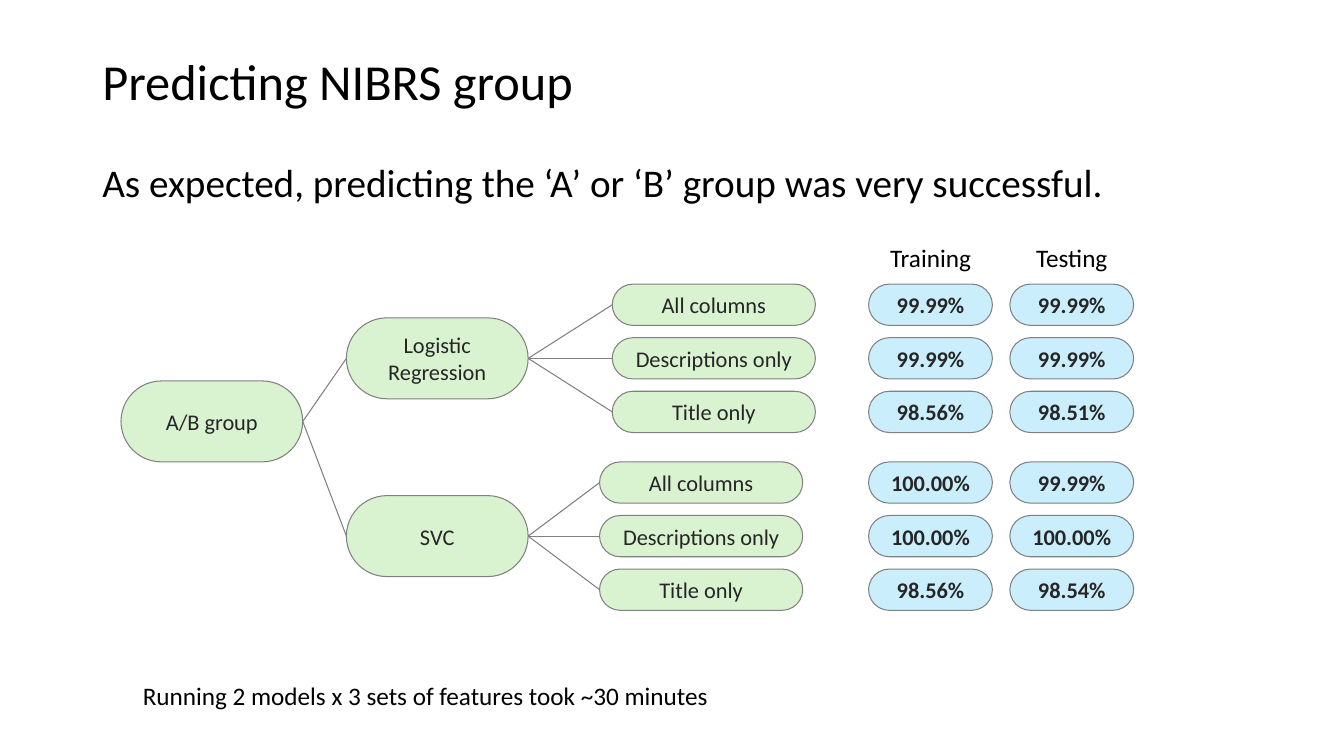
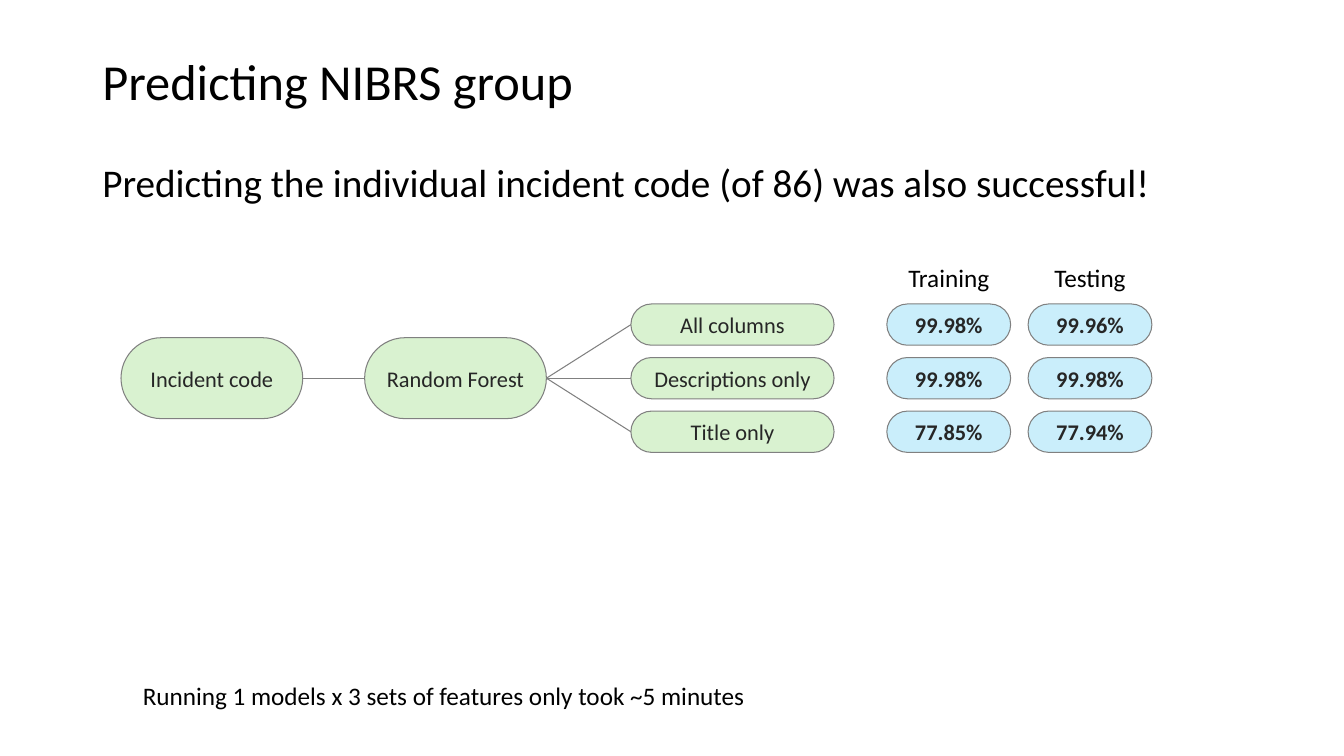
"""Build two slides of model trees with training and testing accuracy."""
from dataclasses import dataclass

import lxml.etree
import pptx
import pptx.dml.color
import pptx.enum.shapes
import pptx.enum.text
import pptx.oxml.ns
import pptx.shapes.autoshape
import pptx.slide
import pptx.util

Cm = pptx.util.Cm
Pt = pptx.util.Pt
Rgb = pptx.dml.color.RGBColor
Align = pptx.enum.text.PP_ALIGN
Anchor = pptx.enum.text.MSO_ANCHOR
Shape = pptx.shapes.autoshape.Shape
Slide = pptx.slide.Slide


@dataclass(frozen=True)
class Theme:
    font: str = "Calibri"
    ink: Rgb = Rgb(0x00, 0x00, 0x00)
    node_ink: Rgb = Rgb(0x26, 0x26, 0x26)
    node_fill: Rgb = Rgb(0xD9, 0xF2, 0xD0)
    score_fill: Rgb = Rgb(0xCA, 0xEE, 0xFB)
    line: Rgb = Rgb(0x80, 0x80, 0x80)
    line_width: float = 0.75
    title_size: int = 36
    message_size: int = 28
    note_size: int = 18
    node_size: int = 16


@dataclass(frozen=True)
class Model:
    name: str
    middle: float
    left: float
    features_left: float
    scores_left: float
    training: tuple[str, ...]
    testing: tuple[str, ...]


@dataclass(frozen=True)
class Experiment:
    message: str
    target: str
    target_middle: float
    models: tuple[Model, ...]
    runtime: str


THEME = Theme()
TITLE = "Predicting NIBRS group"
FEATURES = ("All columns", "Descriptions only", "Title only")
HEADINGS = ("Training", "Testing")

TARGET_LEFT = 3.05
NODE_WIDTH, NODE_HEIGHT = 4.58, 2.04
FEATURE_WIDTH, SCORE_WIDTH, PILL_HEIGHT = 5.12, 3.12, 1.04
ROW_PITCH, COLUMN_PITCH = 1.35, 3.56
HEADING_RISE, HEADING_HEIGHT = 3.05, 1.03

EXPERIMENTS = (
    Experiment(
        "As expected, predicting the ‘A’ or ‘B’ group was very successful.",
        "A/B group", 10.62,
        (
            Model("Logistic Regression", 9.03, 8.73, 15.43, 21.89,
                  ("99.99%", "99.99%", "98.56%"), ("99.99%", "99.99%", "98.51%")),
            Model("SVC", 13.51, 8.73, 15.11, 21.89,
                  ("100.00%", "100.00%", "98.56%"), ("99.99%", "100.00%", "98.54%")),
        ),
        "Running 2 models x 3 sets of features took ~30 minutes",
    ),
    Experiment(
        "Predicting the individual incident code (of 86) was also successful!",
        "Incident code", 9.53,
        (
            Model("Random Forest", 9.53, 9.19, 15.9, 22.35,
                  ("99.98%", "99.98%", "77.85%"), ("99.96%", "99.98%", "77.94%")),
        ),
        "Running 1 models x 3 sets of features only took ~5 minutes",
    ),
)


def write(shape: Shape, text: str, *, size: int, color: Rgb = THEME.ink, bold: bool = False,
          align: Align = Align.LEFT, anchor: Anchor = Anchor.TOP, spacing: float = 1.0) -> None:
    frame = shape.text_frame
    frame.word_wrap = True
    frame.vertical_anchor = anchor
    paragraph = frame.paragraphs[0]
    paragraph.alignment = align
    paragraph.line_spacing = spacing
    run = paragraph.add_run()
    run.text = text
    run.font.name = THEME.font
    run.font.size = Pt(size)
    run.font.bold = bold
    run.font.color.rgb = color


def add_box(slide: Slide, left: float, top: float, width: float, height: float) -> Shape:
    return slide.shapes.add_textbox(Cm(left), Cm(top), Cm(width), Cm(height))


def add_pill(slide: Slide, text: str, left: float, middle: float, width: float, height: float,
             fill: Rgb = THEME.node_fill, bold: bool = False) -> Shape:
    pill = slide.shapes.add_shape(
        pptx.enum.shapes.MSO_SHAPE.ROUNDED_RECTANGLE,
        Cm(left), Cm(middle - height / 2), Cm(width), Cm(height))
    pill.adjustments[0] = 0.5
    pill.shadow.inherit = False
    pill.fill.solid()
    pill.fill.fore_color.rgb = fill
    pill.line.color.rgb = THEME.line
    pill.line.width = Pt(THEME.line_width)
    pill.text_frame.margin_left = pill.text_frame.margin_right = 0
    write(pill, text, size=THEME.node_size, color=THEME.node_ink, bold=bold,
          align=Align.CENTER, anchor=Anchor.MIDDLE)
    return pill


def add_branch(slide: Slide, parent: Shape, child: Shape) -> None:
    branch = slide.shapes.add_connector(pptx.enum.shapes.MSO_CONNECTOR.STRAIGHT, 0, 0, 0, 0)
    branch.begin_connect(parent, 3)
    branch.end_connect(child, 1)
    branch.line.color.rgb = THEME.line
    branch.line.width = Pt(THEME.line_width)
    properties = branch.element.find(pptx.oxml.ns.qn("p:spPr"))
    lxml.etree.SubElement(properties, pptx.oxml.ns.qn("a:effectLst"))


def add_model(slide: Slide, target: Shape, model: Model) -> None:
    node = add_pill(slide, model.name, model.left, model.middle, NODE_WIDTH, NODE_HEIGHT)
    add_branch(slide, target, node)
    for row, (name, *scores) in enumerate(zip(FEATURES, model.training, model.testing)):
        middle = model.middle + (row - 1) * ROW_PITCH
        feature = add_pill(slide, name, model.features_left, middle, FEATURE_WIDTH, PILL_HEIGHT)
        add_branch(slide, node, feature)
        for column, score in enumerate(scores):
            add_pill(slide, score, model.scores_left + column * COLUMN_PITCH, middle,
                     SCORE_WIDTH, PILL_HEIGHT, fill=THEME.score_fill, bold=True)


def add_experiment(slide: Slide, experiment: Experiment) -> None:
    write(add_box(slide, 2.33, 1.02, 29.2, 2.2), TITLE, size=THEME.title_size,
          anchor=Anchor.MIDDLE, spacing=0.9)
    write(add_box(slide, 2.33, 4.01, 29.2, 1.65), experiment.message,
          size=THEME.message_size, spacing=0.9)
    target = add_pill(slide, experiment.target, TARGET_LEFT, experiment.target_middle,
                      NODE_WIDTH, NODE_HEIGHT)
    for model in experiment.models:
        add_model(slide, target, model)
    first = experiment.models[0]
    for column, heading in enumerate(HEADINGS):
        write(add_box(slide, first.scores_left + column * COLUMN_PITCH,
                      first.middle - HEADING_RISE, SCORE_WIDTH, HEADING_HEIGHT),
              heading, size=THEME.note_size, align=Align.CENTER)
    write(add_box(slide, 3.35, 17.02, 16.92, 1.03), experiment.runtime, size=THEME.note_size)


def main() -> None:
    deck = pptx.Presentation()
    deck.slide_width, deck.slide_height = Cm(33.87), Cm(19.05)
    blank = deck.slide_layouts[6]
    for experiment in EXPERIMENTS:
        add_experiment(deck.slides.add_slide(blank), experiment)
    deck.save("out.pptx")


if __name__ == "__main__":
    main()
